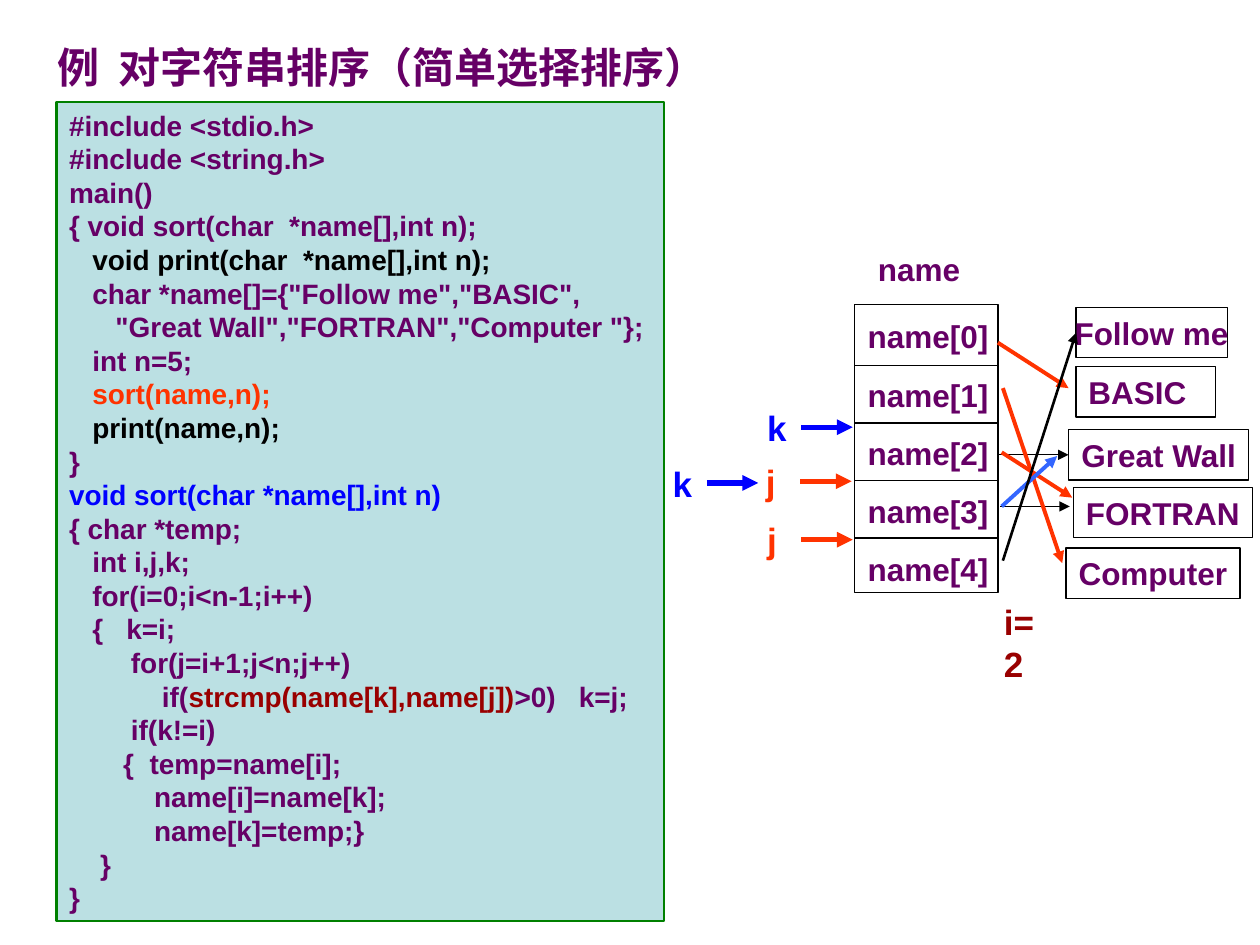
from lxml import etree
from pptx import Presentation
from pptx.dml.color import RGBColor
from pptx.enum.shapes import MSO_CONNECTOR, MSO_SHAPE
from pptx.enum.text import MSO_ANCHOR, PP_ALIGN
from pptx.oxml.ns import qn
from pptx.util import Pt

RECTANGLE = MSO_SHAPE.RECTANGLE
STRAIGHT = MSO_CONNECTOR.STRAIGHT
TOP, MIDDLE = MSO_ANCHOR.TOP, MSO_ANCHOR.MIDDLE
LEFT, CENTER = PP_ALIGN.LEFT, PP_ALIGN.CENTER
LEFT_SIDE = 1
FONT = "Arial"
COLORS = {
    "purple": "660066", "black": "000000", "white": "FFFFFF", "orange": "FF3300",
    "blue": "0000FF", "sky": "3366FF", "red": "990000", "green": "008000",
    "panel": "BBE0E3",
}
ROW_HEIGHT = 28.8
CODE = [
    [("#include <stdio.h>", "purple")],
    [("#include <string.h>", "purple")],
    [("main()", "purple")],
    [("{ void sort(char  *name[],int n);", "purple")],
    [("   void print(char  *name[],int n);", "black")],
    [('   char *name[]={"Follow me","BASIC",', "purple")],
    [('      "Great Wall","FORTRAN","Computer "};', "purple")],
    [("   int n=5;", "purple")],
    [("   sort(name,n);", "orange")],
    [("   print(name,n);", "black")],
    [("}", "purple")],
    [("void sort(char *name[],int n)", "blue")],
    [("{ char *temp;", "purple")],
    [("   int i,j,k;", "purple")],
    [("   for(i=0;i<n-1;i++)", "purple")],
    [("   {   k=i;", "purple")],
    [("        for(j=i+1;j<n;j++)", "purple")],
    [("            if(", "purple"), ("strcmp(name[k],name[j])", "red"),
     (">0)   k=j;", "purple")],
    [("        if(k!=i)", "purple")],
    [("       {  temp=name[i];", "purple")],
    [("           name[i]=name[k];", "purple")],
    [("           name[k]=temp;}", "purple")],
    [("    }", "purple")],
    [("}", "purple")],
]
STRINGS = [
    ("Follow me", 614.9, 175.7, 86.4, CENTER),
    ("BASIC", 614.9, 209.5, 79.9, LEFT),
    ("Great Wall", 610.6, 245.5, 103, CENTER),
    ("FORTRAN", 613.4, 278.6, 102.2, CENTER),
    ("Computer", 609.1, 313.2, 99.4, CENTER),
]
POINTERS = [
    ("k", 431.3, 244.1, 25.4, "blue"),
    ("k", 377.3, 276, 25.4, "blue"),
    ("j", 430.6, 275, 20, "orange"),
    ("j", 431.3, 308.4, 20, "orange"),
]
SWAPPED_LINKS = [
    (570.2, 195.8, 610.6, 221.8, "orange"),
    (573.1, 221.8, 607, 321.8, "orange"),
    (572.4, 258.5, 612.7, 284.4, "orange"),
    (572.4, 289.4, 604.1, 260.6, "sky"),
]


def color(name):
    """Return the named colour."""
    return RGBColor.from_string(COLORS[name])


def write_lines(shape, lines, size, align=LEFT, anchor=MIDDLE):
    """Fill a shape with lines of coloured runs."""
    frame = shape.text_frame
    frame.word_wrap = False
    frame.vertical_anchor = anchor
    for index, line in enumerate(lines):
        para = frame.paragraphs[0] if index == 0 else frame.add_paragraph()
        para.alignment = align
        for text, tint in line:
            span = para.add_run()
            span.text = text
            span.font.name = FONT
            span.font.size = Pt(size)
            span.font.bold = True
            span.font.color.rgb = color(tint)


def add_label(page, text, left, top, width, height, size, tint="purple", align=LEFT):
    """Add a single line of bold text."""
    box = page.shapes.add_textbox(Pt(left), Pt(top), Pt(width), Pt(height))
    write_lines(box, [[(text, tint)]], size, align)


def add_box(page, left, top, width, height, fill=None, line="black", weight=0.75):
    """Add an outlined rectangle."""
    box = page.shapes.add_shape(RECTANGLE, Pt(left), Pt(top), Pt(width), Pt(height))
    box.shadow.inherit = False
    if fill:
        box.fill.solid()
        box.fill.fore_color.rgb = color(fill)
    else:
        box.fill.background()
    box.line.color.rgb = color(line)
    box.line.width = Pt(weight)
    return box


def add_line(page, x1, y1, x2, y2, tint="black", weight=0.75, arrow=True):
    """Add a straight line, with an arrowhead at its end if asked."""
    line = page.shapes.add_connector(STRAIGHT, Pt(x1), Pt(y1), Pt(x2), Pt(y2))
    line.line.color.rgb = color(tint)
    line.line.width = Pt(weight)
    if arrow:
        etree.SubElement(line.line._get_or_add_ln(), qn("a:tailEnd"), type="triangle")
    etree.SubElement(line._element.spPr, qn("a:effectLst"))
    return line


def add_name_array(page):
    """Draw the array of five name cells."""
    left, top, width = 488.2, 174.2, 82.1
    add_label(page, "name", 494.6, 139, 61.2, ROW_HEIGHT, 18, align=CENTER)
    add_box(page, left, top, width, 164.2, "white")
    for row in range(4):
        y = 208.8 + 32.9 * row
        add_line(page, left, y, left + width, y, arrow=False)
    for row in range(5):
        add_label(page, f"name[{row}]", 488.6, 177.8 + 33.3 * row, 83.5,
                  ROW_HEIGHT, 18, align=CENTER)


def add_strings(page):
    """Draw the boxed strings and return them by text."""
    boxes = {}
    for text, left, top, width, align in STRINGS:
        boxes[text] = add_box(page, left, top, width, ROW_HEIGHT)
        write_lines(boxes[text], [[(text, "purple")]], 18, align)
    return boxes


def add_pointer(page, letter, left, middle, width, tint):
    """Draw an index letter with its arrow."""
    add_label(page, letter, left, middle - 15.8, width, 31.7, 20, tint)
    add_line(page, left + 26.6, middle, left + 56, middle, tint, 3)


def add_links(page, boxes):
    """Draw the arrows from the array cells to the strings."""
    straight = add_line(page, 570.2, 259.9, 610.6, 259.9)
    straight.end_connect(boxes["Great Wall"], LEFT_SIDE)
    add_line(page, 571.7, 289.4, 611.3, 289.4)
    for x1, y1, x2, y2, tint in SWAPPED_LINKS:
        add_line(page, x1, y1, x2, y2, tint, 2.25)
    rising = add_line(page, 573.1, 320.4, 614.9, 190.1, weight=1.5)
    rising.end_connect(boxes["Follow me"], LEFT_SIDE)


def main():
    """Build the slide on sorting strings."""
    deck = Presentation()
    deck.slide_width, deck.slide_height = Pt(720), Pt(540)
    page = deck.slides.add_slide(deck.slide_layouts[6])
    add_label(page, "例  对字符串排序（简单选择排序）", 25.9, 20.2, 385.2, 36, 24)
    add_name_array(page)
    boxes = add_strings(page)
    for pointer in POINTERS:
        add_pointer(page, *pointer)
    add_label(page, "i=2", 566.6, 351.4, 42.5, 31.7, 20, "red")
    add_links(page, boxes)
    panel = add_box(page, 32.4, 58.3, 347, 468, "panel", "green", 1.5)
    write_lines(panel, CODE, 16, anchor=TOP)
    deck.save("out.pptx")


if __name__ == "__main__":
    main()
